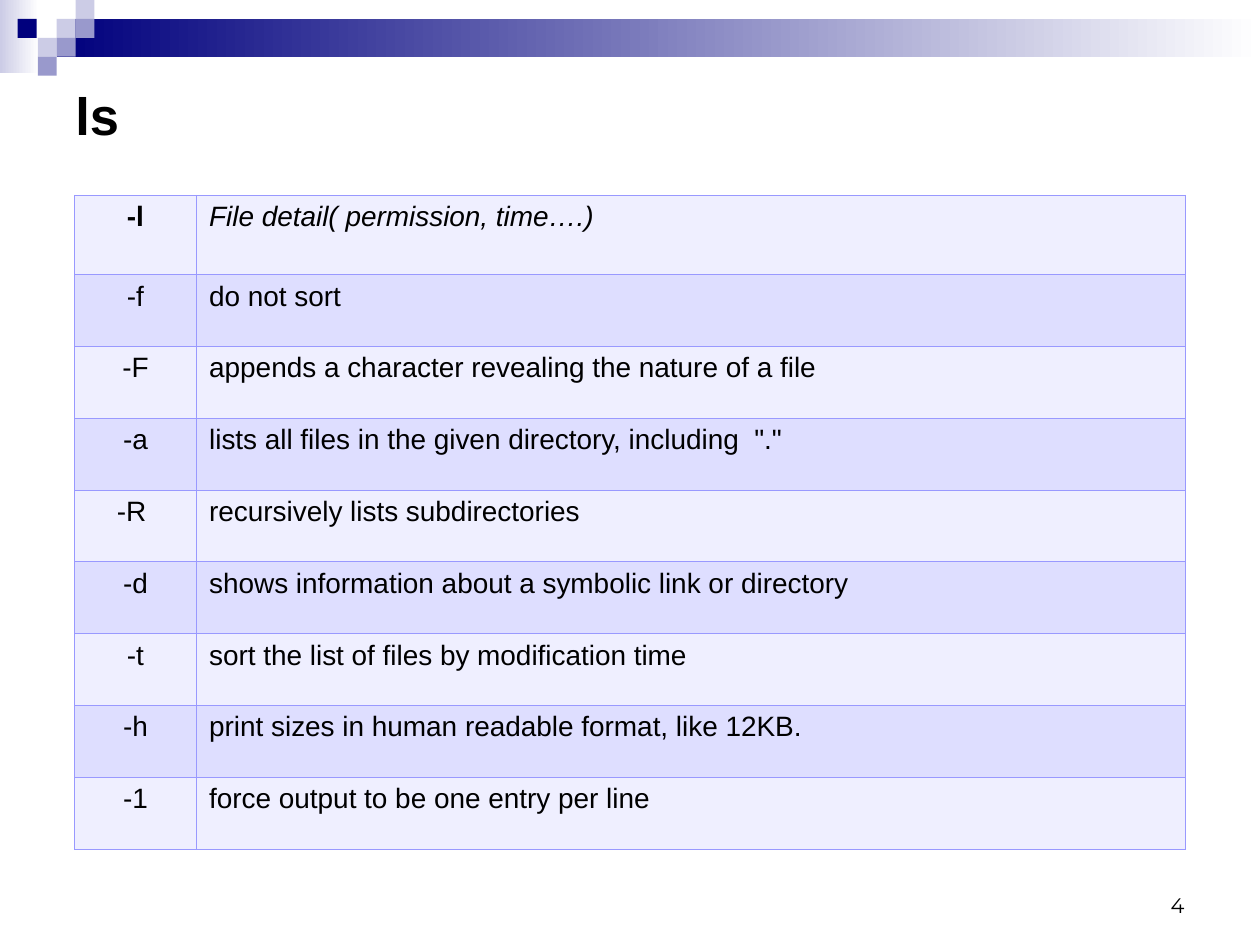
from lxml.etree import SubElement
from pptx import Presentation
from pptx.dml.color import RGBColor
from pptx.enum.shapes import MSO_SHAPE
from pptx.enum.text import MSO_ANCHOR as Anchor, PP_ALIGN as Align
from pptx.oxml.ns import qn
from pptx.util import Inches, Pt

BLACK = RGBColor(0x00, 0x00, 0x00)
WHITE = RGBColor(0xFF, 0xFF, 0xFF)
NAVY = RGBColor(0x00, 0x00, 0x7D)
LAVENDER = RGBColor(0xCC, 0xCC, 0xE6)
PERIWINKLE = RGBColor(0x99, 0x99, 0xCC)
ROW_LIGHT = RGBColor(0xEF, 0xEF, 0xFF)
ROW_DARK = RGBColor(0xDE, 0xDE, 0xFF)
GRID = RGBColor(0x99, 0x99, 0xFF)

TILE = 0.15
TILES = [
    (0.45, 0.15, LAVENDER),
    (0.6, 0, LAVENDER),
    (0.6, 0.15, PERIWINKLE),
    (0.3, 0.3, LAVENDER),
    (0.14, 0.15, NAVY),
    (0.45, 0.3, PERIWINKLE),
    (0.3, 0.45, PERIWINKLE),
]
OPTIONS = [
    ("-l", "File detail( permission, time….)"),
    ("-f", "do not sort"),
    ("-F", "appends a character revealing the nature of a file"),
    ("-a", "lists all files in the given directory, including  \".\""),
    ("-R ", "recursively lists subdirectories"),
    ("-d", "shows information about a symbolic link or directory"),
    ("-t", "sort the list of files by modification time"),
    ("-h", "print sizes in human readable format, like 12KB."),
    ("-1", "force output to be one entry per line"),
]


def add_block(slide, left, top, width, height, color, fade_to=None):
    block = slide.shapes.add_shape(
        MSO_SHAPE.RECTANGLE, Inches(left), Inches(top), Inches(width), Inches(height))
    block.shadow.inherit = False
    block.line.fill.background()
    if fade_to is None:
        block.fill.solid()
        block.fill.fore_color.rgb = color
    else:
        block.fill.gradient()
        block.fill.gradient_angle = 0
        for stop, shade, position in zip(block.fill.gradient_stops, (color, fade_to), (0, 1)):
            stop.color.rgb = shade
            stop.position = position


def write(frame, text, size, font="Arial", align=Align.LEFT, bold=False, italic=False):
    frame.text = text
    paragraph = frame.paragraphs[0]
    paragraph.alignment = align
    style = paragraph.runs[0].font
    style.name, style.size = font, Pt(size)
    style.bold, style.italic = bold, italic
    style.color.rgb = BLACK


def add_label(slide, left, top, width, height, anchor, text, size, **style):
    label = slide.shapes.add_textbox(
        Inches(left), Inches(top), Inches(width), Inches(height))
    label.text_frame.word_wrap = True
    label.text_frame.vertical_anchor = anchor
    write(label.text_frame, text, size, **style)


def set_borders(cell):
    properties = cell._tc.get_or_add_tcPr()
    for index, side in enumerate(("a:lnL", "a:lnR", "a:lnT", "a:lnB")):
        border = properties.makeelement(qn(side), {"w": str(Pt(0.45))})
        properties.insert(index, border)
        fill = SubElement(border, qn("a:solidFill"))
        SubElement(fill, qn("a:srgbClr"), val=str(GRID))


def add_options_table(slide):
    table = slide.shapes.add_table(
        len(OPTIONS), 2, Inches(0.59), Inches(1.55), Inches(8.82), Inches(5.18)).table
    table.columns[0].width = Inches(0.97)
    table.columns[1].width = Inches(7.85)
    for index, option in enumerate(OPTIONS):
        first = index == 0
        table.rows[index].height = Inches(0.63 if first else 0.57)
        flag, meaning = table.rows[index].cells
        write(flag.text_frame, option[0], 16, align=Align.CENTER, bold=first)
        write(meaning.text_frame, option[1], 16, italic=first)
        for cell in (flag, meaning):
            cell.fill.solid()
            cell.fill.fore_color.rgb = ROW_DARK if index % 2 else ROW_LIGHT
            set_borders(cell)


def main():
    deck = Presentation()
    deck.slide_width, deck.slide_height = Inches(10), Inches(7.5)
    slide = deck.slides.add_slide(deck.slide_layouts[6])
    add_block(slide, 0, 0, 0.31, 0.58, LAVENDER, fade_to=WHITE)
    add_block(slide, 0.45, 0.15, 9.55, 0.3, NAVY, fade_to=WHITE)
    for left, top, color in TILES:
        add_block(slide, left, top, TILE, TILE, color)
    add_label(slide, 0.5, 0.5, 9, 0.81, Anchor.MIDDLE, "ls", 30, bold=True)
    add_label(slide, 7.17, 6.83, 2.33, 0.5, Anchor.BOTTOM, "4", 12,
              font="Montserrat", align=Align.RIGHT)
    add_options_table(slide)
    deck.save("out.pptx")


if __name__ == "__main__":
    main()
